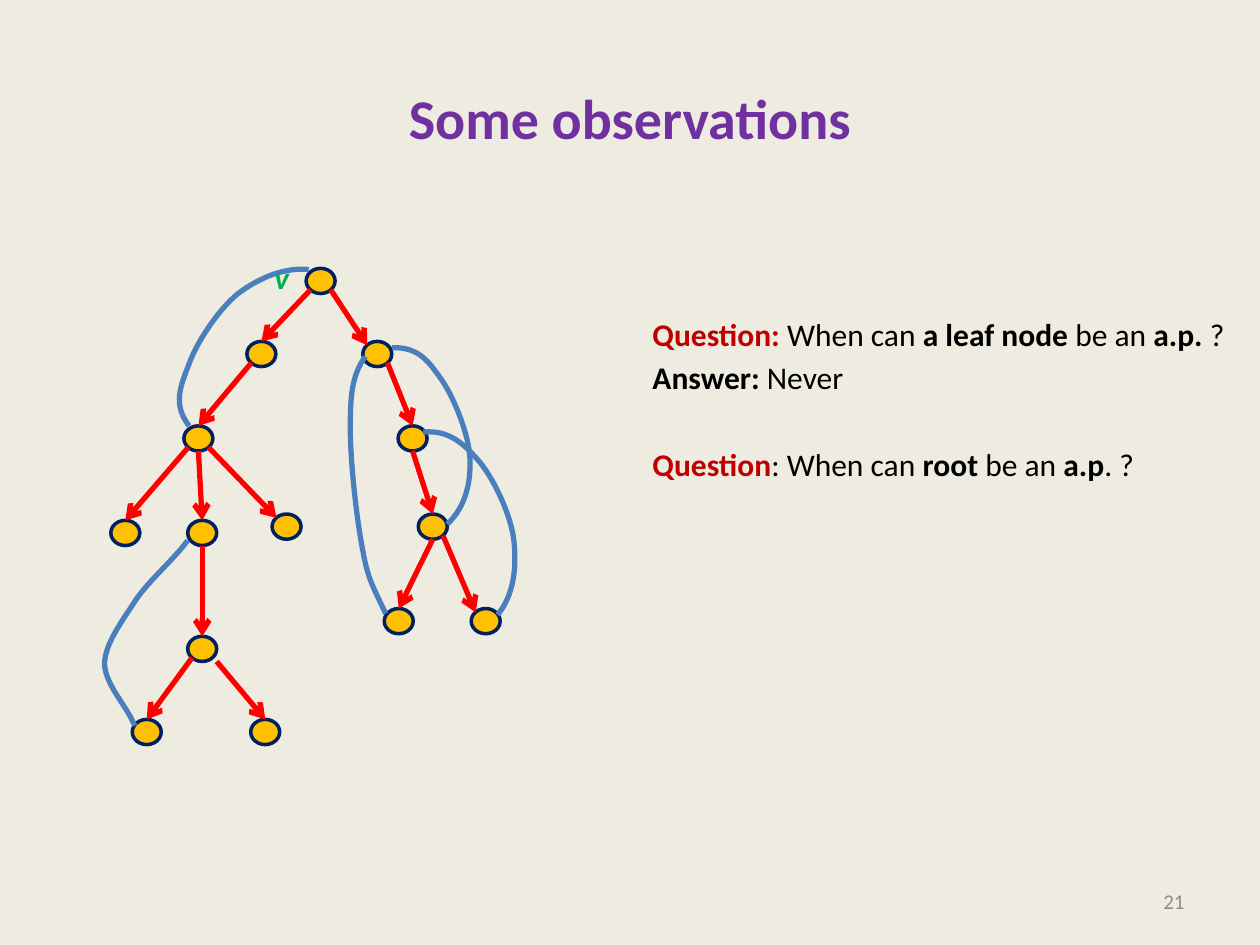
from lxml.etree import SubElement
from pptx import Presentation
from pptx.dml.color import RGBColor
from pptx.enum.shapes import MSO_CONNECTOR, MSO_SHAPE
from pptx.enum.text import MSO_ANCHOR, PP_ALIGN
from pptx.oxml.ns import qn
from pptx.util import Cm, Pt

BACKGROUND = RGBColor(0xEE, 0xEC, 0xE1)
PURPLE = RGBColor(0x70, 0x30, 0xA0)
DARK_RED = RGBColor(0xC0, 0x00, 0x00)
BLACK = RGBColor(0x00, 0x00, 0x00)
GRAY = RGBColor(0x8C, 0x8C, 0x8C)
GOLD = RGBColor(0xFF, 0xC0, 0x00)
NAVY = RGBColor(0x00, 0x20, 0x60)
RED = RGBColor(0xFF, 0x00, 0x00)
BLUE = RGBColor(0x4B, 0x7E, 0xBC)
GREEN = RGBColor(0x00, 0xB0, 0x50)

NODE_WIDTH, NODE_HEIGHT = 0.23, 0.2

NODES = {
    "root": (2.43, 2.13),
    "left": (1.96, 2.71),
    "right": (2.88, 2.71),
    "left hub": (1.46, 3.38),
    "hub leaf left": (0.88, 4.13),
    "hub middle": (1.49, 4.13),
    "hub leaf right": (2.16, 4.08),
    "low fork": (1.49, 5.05),
    "low leaf left": (1.05, 5.71),
    "low leaf right": (1.99, 5.71),
    "right middle": (3.16, 3.38),
    "right fork": (3.32, 4.08),
    "right leaf left": (3.05, 4.83),
    "right leaf right": (3.74, 4.83),
}

SITES = {
    "top": (0.5, 0),
    "top left": (0.15, 0.15),
    "bottom": (0.5, 1),
    "bottom left": (0.15, 0.85),
    "bottom right": (0.85, 0.85),
    "corner": (1, 1),
}

TREE_EDGES = [
    ("root", "bottom left", "left", "top"),
    ("root", "bottom right", "right", "top left"),
    ("left", "bottom left", "left hub", "top"),
    ("left hub", "bottom left", "hub leaf left", "top"),
    ("left hub", "bottom", "hub middle", "top"),
    ("left hub", "bottom right", "hub leaf right", "top left"),
    ("hub middle", "bottom", "low fork", "top"),
    ("low fork", "bottom left", "low leaf left", "top"),
    ("low fork", "corner", "low leaf right", "top"),
    ("right", "bottom right", "right middle", "top"),
    ("right middle", "bottom", "right fork", "top"),
    ("right fork", "bottom", "right leaf left", "top"),
    ("right fork", "bottom right", "right leaf right", "top left"),
]

BACK_EDGES = [
    [(3.55, 4.16), (3.7, 4.02), (3.74, 3.82), (3.73, 3.63), (3.72, 3.45),
     (3.61, 3.17), (3.51, 3.02), (3.41, 2.88), (3.33, 2.75), (3.11, 2.76)],
    [(3.06, 4.87), (2.98, 4.69), (2.92, 4.61), (2.88, 4.37), (2.83, 4.12),
     (2.78, 3.66), (2.78, 3.4), (2.78, 3.15), (2.79, 2.98), (2.9, 2.83)],
    [(1.07, 5.76), (1, 5.59), (0.83, 5.43), (0.83, 5.26), (0.84, 5.1),
     (0.97, 4.93), (1.08, 4.76), (1.19, 4.6), (1.38, 4.44), (1.49, 4.29)],
    [(2.45, 2.14), (2.25, 2.12), (2.05, 2.21), (1.89, 2.33), (1.73, 2.46),
     (1.56, 2.72), (1.5, 2.89), (1.43, 3.07), (1.37, 3.21), (1.5, 3.38)],
    [(3.95, 4.88), (4.08, 4.72), (4.1, 4.51), (4.08, 4.3), (4.06, 4.1),
     (3.93, 3.82), (3.81, 3.67), (3.69, 3.53), (3.57, 3.41), (3.36, 3.43)],
]

QUESTIONS = [
    (0, [("Question: ", DARK_RED, True), ("When can", BLACK, False),
         (" a leaf node ", BLACK, True), ("be an ", BLACK, False),
         ("a.p.", BLACK, True), (" ?", BLACK, False)]),
    (3.2, [("Answer: ", BLACK, True), ("Never", BLACK, False)]),
    (28.3, [("Question", DARK_RED, True), (": When can ", BLACK, False),
            ("root", BLACK, True), (" be an ", BLACK, False),
            ("a.p", BLACK, True), (". ?", BLACK, False)]),
]


def lengths(*inches):
    return [Cm(value * 2.54) for value in inches]


def site_position(node, site):
    left, top = NODES[node]
    across, down = SITES[site]
    return left + across * NODE_WIDTH, top + down * NODE_HEIGHT


class SlideBuilder:
    font_name = "Calibri"
    edge_width = Pt(3)
    outline_width = Pt(2)

    def __init__(self, slide):
        self.slide = slide
        slide.background.fill.solid()
        slide.background.fill.fore_color.rgb = BACKGROUND

    def text(self, box, paragraphs, size, align=PP_ALIGN.LEFT,
             anchor=MSO_ANCHOR.TOP, wrap=True, italic=False, margin_top=Cm(0.13)):
        frame = self.slide.shapes.add_textbox(*lengths(*box)).text_frame
        frame.word_wrap = wrap
        frame.vertical_anchor = anchor
        frame.margin_top = margin_top
        for index, (space_before, runs) in enumerate(paragraphs):
            paragraph = frame.add_paragraph() if index else frame.paragraphs[0]
            paragraph.alignment = align
            paragraph.space_before = Pt(space_before)
            for content, color, bold in runs:
                run = paragraph.add_run()
                run.text = content
                run.font.name = self.font_name
                run.font.size = Pt(size)
                run.font.bold = bold
                run.font.italic = italic
                run.font.color.rgb = color

    def node(self, left, top):
        shape = self.slide.shapes.add_shape(
            MSO_SHAPE.OVAL, *lengths(left, top, NODE_WIDTH, NODE_HEIGHT))
        shape.shadow.inherit = False
        shape.fill.solid()
        shape.fill.fore_color.rgb = GOLD
        shape.line.color.rgb = NAVY
        shape.line.width = self.outline_width

    def arrow(self, start, end):
        connector = self.slide.shapes.add_connector(
            MSO_CONNECTOR.STRAIGHT, *lengths(*start, *end))
        connector.line.color.rgb = RED
        connector.line.width = self.edge_width
        properties = connector.line._get_or_add_ln()
        SubElement(properties, qn("a:tailEnd"), type="arrow")
        SubElement(connector._element.spPr, qn("a:effectLst"))

    def curve(self, points):
        start, *others = [lengths(*point) for point in points]
        builder = self.slide.shapes.build_freeform(*start)
        builder.add_line_segments(others, close=False)
        shape = builder.convert_to_shape()
        outline = next(shape._element.iter(qn("a:path")))
        segments = outline.findall(qn("a:lnTo"))
        for first in range(0, len(segments), 3):
            bezier = SubElement(outline, qn("a:cubicBezTo"))
            for segment in segments[first:first + 3]:
                bezier.append(segment[0])
                outline.remove(segment)
        shape.shadow.inherit = False
        shape.fill.background()
        shape.line.color.rgb = BLUE
        shape.line.width = self.edge_width


def main():
    presentation = Presentation()
    presentation.slide_width, presentation.slide_height = Cm(25.4), Cm(19.05)
    builder = SlideBuilder(presentation.slides.add_slide(presentation.slide_layouts[6]))

    builder.text((0.5, 0.3, 9, 1.25), [(0, [("Some observations", PURPLE, True)])],
                 32, align=PP_ALIGN.CENTER, anchor=MSO_ANCHOR.MIDDLE)
    builder.text((5.08, 1.75, 4.92, 4.95), QUESTIONS, 18, margin_top=Cm(1.9))
    builder.text((7.17, 6.95, 2.33, 0.4), [(0, [("21", GRAY, False)])],
                 12, align=PP_ALIGN.RIGHT, anchor=MSO_ANCHOR.MIDDLE)

    for position in NODES.values():
        builder.node(*position)
    for parent, parent_site, child, child_site in TREE_EDGES:
        builder.arrow(site_position(parent, parent_site), site_position(child, child_site))
    for points in BACK_EDGES:
        builder.curve(points)
    builder.text((2.08, 2, 0.32, 0.4), [(0, [("v", GREEN, True)])],
                 18, wrap=False, italic=True)

    presentation.save("out.pptx")


if __name__ == "__main__":
    main()
